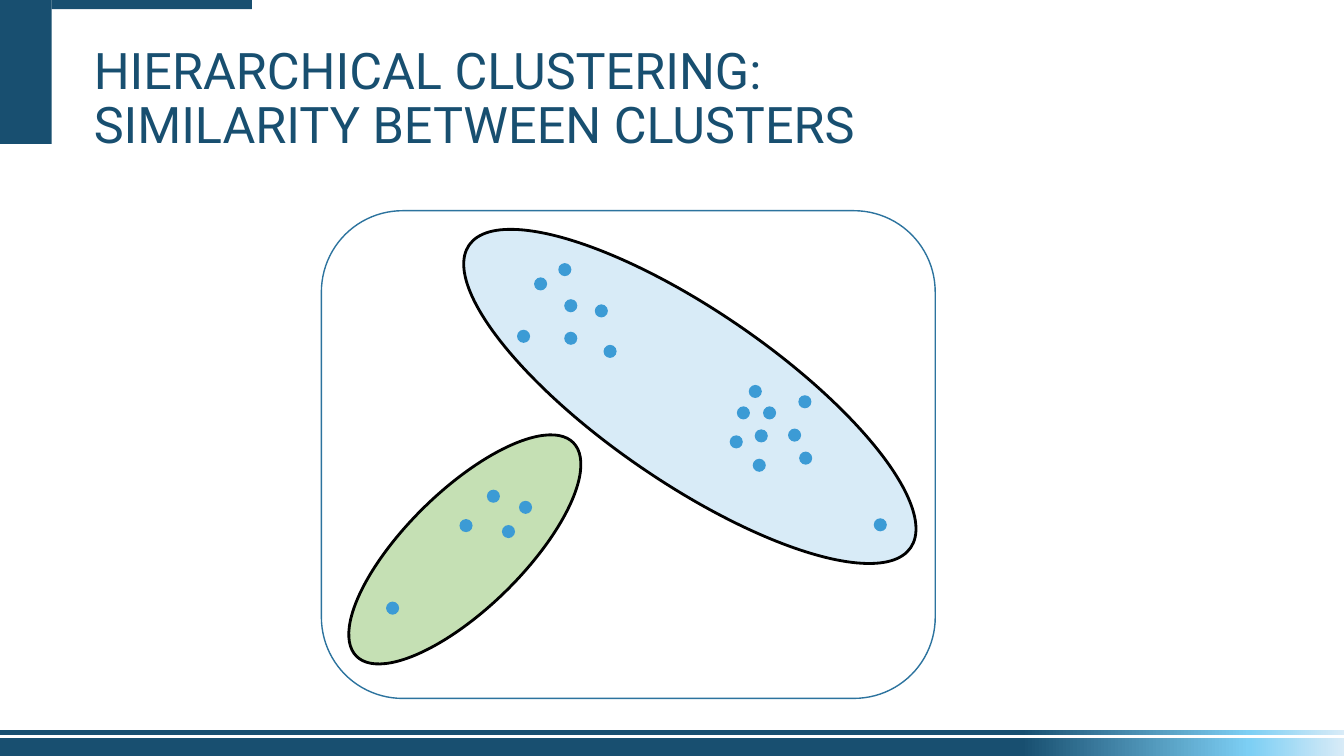
from copy import deepcopy

from pptx import Presentation
from pptx.dml.color import RGBColor
from pptx.enum.shapes import MSO_SHAPE
from pptx.enum.text import MSO_ANCHOR, PP_ALIGN
from pptx.oxml.ns import qn
from pptx.util import Cm, Pt

NAVY = RGBColor(0x18, 0x4F, 0x70)
SKY = RGBColor(0x7D, 0xCF, 0xF4)
PALE_BLUE = RGBColor(0xD8, 0xEB, 0xF7)
PALE_GREEN = RGBColor(0xC5, 0xE0, 0xB4)
POINT_BLUE = RGBColor(0x3C, 0x9B, 0xD5)
FRAME_BLUE = RGBColor(0x2C, 0x73, 0x9E)
BLACK = RGBColor(0, 0, 0)

WIDTH, HEIGHT = 33.87, 19.05
POINT_SIZE = 0.33
FOOTER_STOPS = [(0.76, NAVY), (0.93, SKY), (1, PALE_BLUE)]

BLUE_POINTS = [
    (14.07, 6.63), (13.46, 6.99), (14.22, 7.54), (14.99, 7.67),
    (14.22, 8.36), (13.03, 8.31), (15.21, 8.69), (18.87, 9.7),
    (18.57, 10.24), (19.02, 10.82), (19.23, 10.24), (20.12, 9.96),
    (18.39, 10.97), (19.86, 10.8), (20.14, 11.38), (18.97, 11.56),
    (22.02, 13.06),
]
GREEN_POINTS = [
    (12.27, 12.34), (13.08, 12.62), (12.65, 13.23), (11.58, 13.08),
    (9.73, 15.16),
]


class ClusterSlide:
    font = "Roboto"
    title_size = Pt(36)

    def __init__(self, deck):
        self.page = deck.slides.add_slide(deck.slide_layouts[5])

    def shape(self, kind, at, fill=None, line=None, weight=1, parent=None):
        shapes = (parent or self.page).shapes
        shape = shapes.add_shape(kind, *[Cm(length) for length in at])
        shape.shadow.inherit = False
        if fill is None:
            shape.fill.background()
        else:
            shape.fill.solid()
            shape.fill.fore_color.rgb = fill
        if line is None:
            shape.line.fill.background()
        else:
            shape.line.color.rgb = line
            shape.line.width = Pt(weight)
        return shape

    def footer_band(self, top, height):
        band = self.shape(MSO_SHAPE.RECTANGLE, (0, top, WIDTH, height))
        band.fill.gradient()
        band.fill.gradient_angle = 0
        stop_list = next(band._element.spPr.iter(qn("a:gsLst")))
        stop_list.append(deepcopy(stop_list[-1]))
        for stop, (position, color) in zip(band.fill.gradient_stops, FOOTER_STOPS):
            stop.position = position
            stop.color.rgb = color

    def title(self, lines, at):
        box = self.page.shapes.title
        box.left, box.top, box.width, box.height = [Cm(length) for length in at]
        frame = box.text_frame
        frame.word_wrap = True
        frame.vertical_anchor = MSO_ANCHOR.MIDDLE
        para = frame.paragraphs[0]
        para.alignment = PP_ALIGN.LEFT
        para.line_spacing = 0.9
        for index, line in enumerate(lines):
            if index:
                para.add_line_break()
            span = para.add_run()
            span.text = line
            span.font.name = self.font
            span.font.size = self.title_size
            span.font.color.rgb = NAVY

    def cluster(self, at, rotation, fill, points):
        group = self.page.shapes.add_group_shape()
        outline = self.shape(MSO_SHAPE.OVAL, at, fill, BLACK, 2, group)
        outline.rotation = rotation
        for left, top in points:
            spot = (left, top, POINT_SIZE, POINT_SIZE)
            self.shape(MSO_SHAPE.OVAL, spot, POINT_BLUE, parent=group)


def main():
    deck = Presentation()
    deck.slide_width, deck.slide_height = Cm(WIDTH), Cm(HEIGHT)
    slide = ClusterSlide(deck)

    slide.footer_band(18.59, 0.46)
    slide.footer_band(18.39, 0.13)
    slide.shape(MSO_SHAPE.RECTANGLE, (0, 0, 1.3, 3.63), NAVY)
    slide.shape(MSO_SHAPE.RECTANGLE, (1.3, 0, 5.05, 0.23), NAVY)
    slide.shape(MSO_SHAPE.ROUNDED_RECTANGLE, (8.1, 5.31, 15.47, 12.29), line=FRAME_BLUE)
    slide.title(
        ["HIERARCHICAL CLUSTERING:", "SIMILARITY BETWEEN CLUSTERS"],
        (2.11, 0.99, 23.93, 3.07),
    )
    slide.cluster((10.64, 7.82, 13.49, 4.34), 34.4, PALE_BLUE, BLUE_POINTS)
    slide.cluster((10.24, 10.01, 2.95, 7.67), 45.5, PALE_GREEN, GREEN_POINTS)

    deck.save("out.pptx")


if __name__ == "__main__":
    main()
